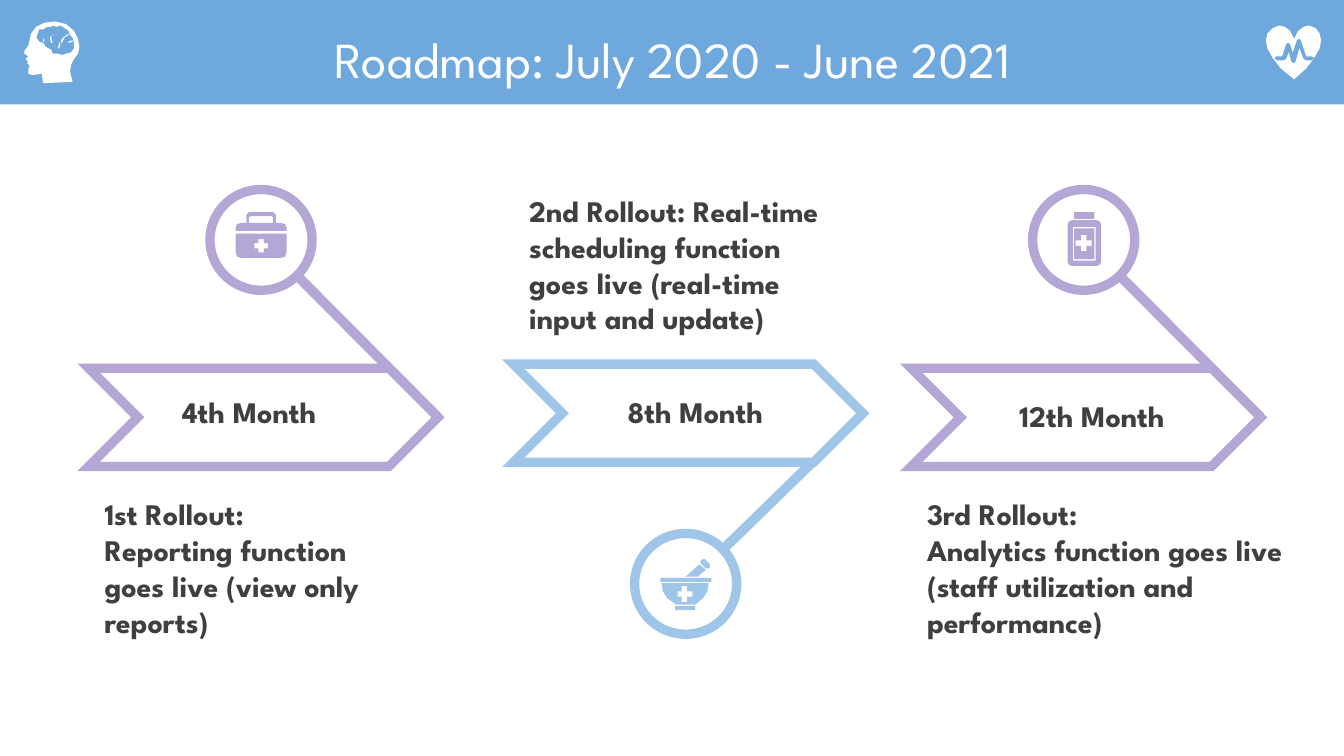
from dataclasses import dataclass

from pptx import Presentation
from pptx.dml.color import RGBColor
from pptx.enum.shapes import MSO_CONNECTOR, MSO_SHAPE
from pptx.enum.text import MSO_ANCHOR, PP_ALIGN
from pptx.oxml import parse_xml
from pptx.oxml.ns import nsdecls, qn
from pptx.util import Pt

LINE = MSO_CONNECTOR.STRAIGHT
RECT, OVAL, ARROW = MSO_SHAPE.RECTANGLE, MSO_SHAPE.OVAL, MSO_SHAPE.CHEVRON
TOP, MID, LOW = MSO_ANCHOR.TOP, MSO_ANCHOR.MIDDLE, MSO_ANCHOR.BOTTOM
LEFT, MIDDLE = PP_ALIGN.LEFT, PP_ALIGN.CENTER


@dataclass(frozen=True)
class Theme:
    font: str = "League Spartan"
    band: RGBColor = RGBColor(0x6F, 0xA8, 0xDC)
    lilac: RGBColor = RGBColor(0xB4, 0xA7, 0xD6)
    sky: RGBColor = RGBColor(0x9F, 0xC5, 0xE8)
    ink: RGBColor = RGBColor(0x3F, 0x3F, 0x3F)
    white: RGBColor = RGBColor(0xFF, 0xFF, 0xFF)
    title: float = 27
    body: float = 16
    edge: float = 5
    stem: float = 5.25


THEME = Theme()
UNIT = Pt(0.72)  # one step of the icon grid


def block(x, y, right, foot):
    return [(x, y), (right, y), (right, foot), (x, foot)]


def plus(x, y, arm, half=2):
    """Outline of a cross centred on x, y."""
    return [(x + a, y + b) for a, b in (
        (-half, -arm), (half, -arm), (half, -half), (arm, -half),
        (arm, half), (half, half), (half, arm), (-half, arm),
        (-half, half), (-arm, half), (-arm, -half), (-half, -half))]


# Each icon is a list of outlines; an outline inside another cuts a hole.
KIT = [
    [(0, 16), (38, 16), (38, 29), (37, 33), (34, 34), (4, 34), (1, 33), (0, 29)],
    [(10, 0), (28, 0), (30, 2), (30, 8), (34, 8), (37, 9), (38, 12), (38, 14),
     (0, 14), (0, 12), (1, 9), (4, 8), (8, 8), (8, 2)],
    [(11, 3), (27, 3), (28, 4), (28, 8), (10, 8), (10, 4)],
    plus(19, 25, 5.5),
]
MORTAR = [
    block(11, 35, 26, 38),
    [(1, 18), (36, 18), (35, 24), (32, 29), (26, 34), (12, 34), (5, 29), (2, 24)],
    block(0, 14, 38, 17),
    [(29, 4), (34, 8), (28, 13), (19, 13)],
    [(32, 0), (33, 0), (37, 4), (37, 6), (36, 7), (34, 7), (30, 3), (30, 1)],
    plus(18.5, 26, 5.5),
]
BOTTLE = [
    [(3, 6), (22, 6), (24, 7), (25, 9), (25, 37), (24, 39), (22, 40),
     (3, 40), (1, 39), (0, 37), (0, 9), (1, 7)],
    block(4, 11, 21, 36),
    block(5, 12, 20, 35),
    block(5, 0, 20, 5),
    plus(12.5, 23, 6),
]
HEART = [
    [(10, 0), (14, 1), (18, 4), (21, 10), (24, 4), (28, 1), (32, 0), (37, 2),
     (40, 6), (41, 11), (40, 17), (36, 24), (30, 32), (21, 40), (11, 32),
     (5, 24), (1, 17), (0, 11), (1, 6), (5, 2)],
    [(24, 10), (23, 11), (20, 20), (18, 14), (17, 13), (16, 13), (15, 14),
     (12, 23), (8, 23), (6, 24.5), (8, 26), (13, 26), (15, 25), (17, 20),
     (19, 27), (20, 28), (21, 28), (22, 27), (25, 17), (28, 25), (30, 26),
     (34, 26), (36, 24.5), (34, 23), (30, 23), (26, 11), (25, 10)],
]
HEAD = [
    [(23, 0), (31, 2), (37, 7), (40, 13), (41, 19), (40, 24), (37, 28),
     (35, 32), (34, 37), (36, 45), (14, 46), (13, 39), (6, 40), (3, 39),
     (3, 36), (4, 33), (2, 31), (3, 30), (1, 28), (3, 26), (0, 24), (0, 22),
     (3, 18), (4, 14), (5, 9), (9, 4), (15, 1)],
    [(21, 3), (20, 4), (17, 4), (14, 6), (11, 6), (10, 9), (9, 12), (11, 15),
     (14, 16), (16, 19), (20, 21), (21, 24), (25, 24), (28, 25), (31, 24),
     (35, 23), (37, 20), (37, 16), (36, 12), (34, 10), (33, 7), (30, 5),
     (27, 3), (24, 4)],
    [(14.5, 15), (13.5, 12), (14, 12), (15, 15)],
    [(20, 16), (19, 12), (22, 9.5), (25, 10), (22, 10), (19.7, 12), (20.7, 16)],
    [(25, 20), (26, 16), (26.7, 16), (25.7, 20)],
    [(27, 15), (29, 12), (33, 9), (33, 9.7), (29.5, 12.5), (27.5, 15.5)],
    [(33, 15), (36, 14), (36, 14.7), (33, 15.7)],
]


def icon(slide, x, y, loops, color):
    pen = slide.shapes.build_freeform(*loops[0][0], scale=UNIT)
    for loop in loops:
        pen.move_to(*loop[0])
        pen.add_line_segments(loop[1:], close=True)
    form = pen.convert_to_shape(Pt(x), Pt(y))
    form.shadow.inherit = False
    form.fill.solid()
    form.fill.fore_color.rgb = color
    form.line.fill.background()


def shape(slide, kind, box, fill, edge=None):
    item = slide.shapes.add_shape(kind, *map(Pt, box))
    item.shadow.inherit = False
    item.fill.solid()
    item.fill.fore_color.rgb = fill
    if edge is None:
        item.line.fill.background()
        return
    item.line.color.rgb = edge
    item.line.width = Pt(THEME.edge)
    outline = item._element.spPr.find(qn("a:ln"))
    outline.append(parse_xml(f'<a:miter {nsdecls("a")} lim="800000"/>'))


def stem(slide, start, end, color):
    line = slide.shapes.add_connector(LINE, *map(Pt, start + end))
    line.line.color.rgb = color
    line.line.width = Pt(THEME.stem)
    line._element.spPr.append(parse_xml(f'<a:effectLst {nsdecls("a")}/>'))


def text(slide, box, lines, align=LEFT, anchor=TOP, size=THEME.body,
         color=THEME.ink, bold=True, spacing=None):
    frame = slide.shapes.add_textbox(*map(Pt, box)).text_frame
    frame.word_wrap = True
    frame.vertical_anchor = anchor
    font = {"name": THEME.font, "size": Pt(size), "bold": bold}
    for i, words in enumerate(lines):
        para = frame.add_paragraph() if i else frame.paragraphs[0]
        para.alignment = align
        para.line_spacing = spacing
        run = para.add_run()
        run.text = words
        for key, value in font.items():
            setattr(run.font, key, value)
        run.font.color.rgb = color


def header(slide, box, title):
    x, y, w, h = box
    shape(slide, RECT, box, THEME.band)
    text(slide, (x + 18.7, y + 16.6, w - 36.7, 33.1), [title], MIDDLE, MID,
         THEME.title, THEME.white, False, 0.9)
    icon(slide, x + 13, y + 11.5, HEAD, THEME.white)
    icon(slide, x + w - 41.8, y + 13.7, HEART, THEME.white)


def stage(slide, box, color, month, inset, note, width, loops, shift, up):
    """Arrow with its month, a badge above or below, and a note opposite."""
    x, y, w, h = box
    ring = x + 65, y + (-95.8 if up else 90.7)
    start = (x + 111.6, y - 49.7) if up else (x + 113, y + 98.6)
    stem(slide, start, (x + w, y + h / 2), color)
    shape(slide, OVAL, (*ring, 54.7, 54), THEME.white, color)
    icon(slide, ring[0] + shift[0], ring[1] + shift[1], loops, color)
    shape(slide, ARROW, box, THEME.white, color)
    text(slide, (x + inset[0], y + inset[1], 105.8, 26.6), [month], MIDDLE)
    text(slide, (x + 1.4, y + (64.8 if up else -95.8), width, 84.2), note,
         anchor=TOP if up else LOW)


def main():
    deck = Presentation()
    deck.slide_width, deck.slide_height = Pt(720), Pt(405)
    slide = deck.slides.add_slide(deck.slide_layouts[6])
    stages = [
        (47.5, 197.3, THEME.lilac, "4th Month", (33.1, 10.1),
         ["1st Rollout: Reporting function goes live (view only reports)"],
         157.7, KIT, (13.7, 12.2), True),
        (275, 195.1, THEME.sky, "8th Month", (44.6, 12.2),
         ["2nd Rollout: Real-time scheduling function goes live "
          "(real-time input and update)"],
         170.6, MORTAR, (13.7, 13.7), False),
        (488.2, 197.3, THEME.lilac, "12th Month", (43.9, 12.2),
         ["3rd Rollout:", "Analytics function goes live "
          "(staff utilization and performance)"],
         205.9, BOTTLE, (18.7, 12.2), True),
    ]
    for x, y, *parts in stages:
        stage(slide, (x, y, 187.2, 52.6), *parts)
    header(slide, (0, 0, 720, 56), "Roadmap: July 2020 - June 2021")
    deck.save("out.pptx")


if __name__ == "__main__":
    main()
